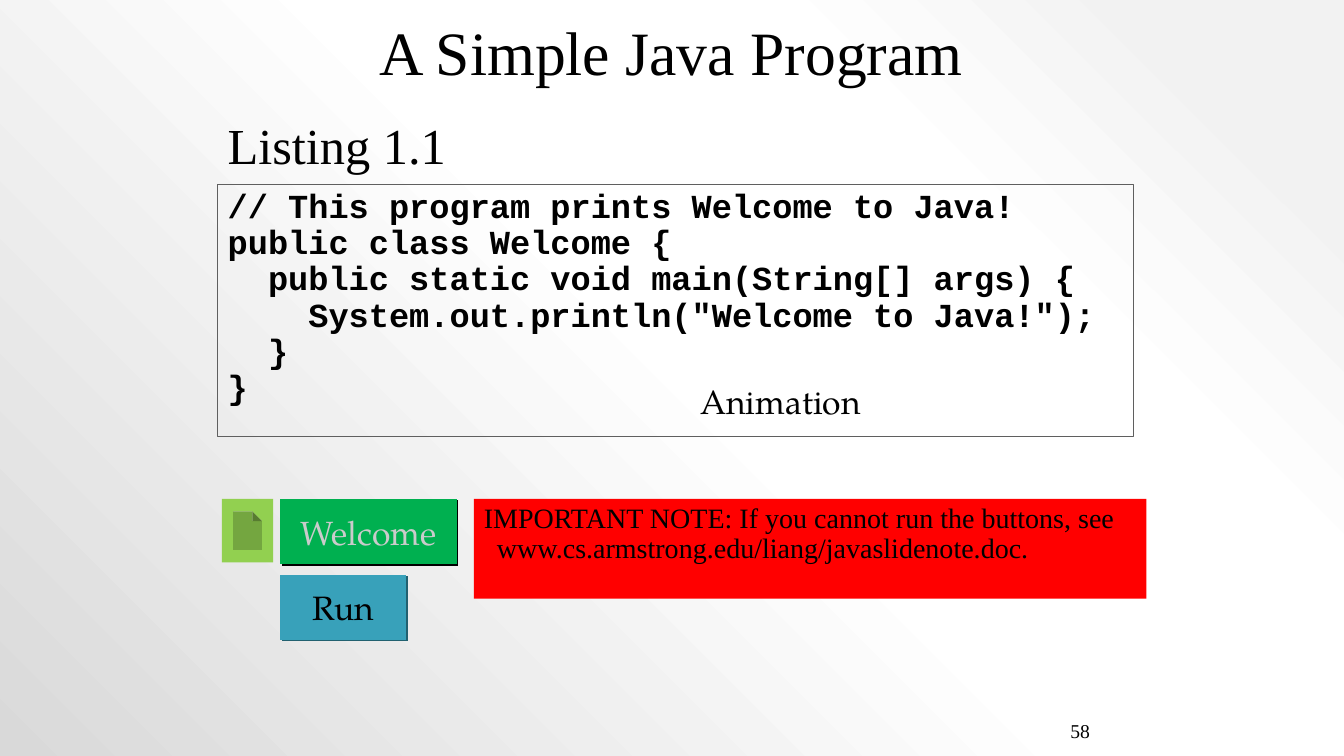
from lxml.etree import SubElement
from pptx import Presentation
from pptx.dml.color import RGBColor
from pptx.enum.shapes import MSO_SHAPE
from pptx.enum.text import MSO_ANCHOR, PP_ALIGN
from pptx.oxml import parse_xml
from pptx.oxml.ns import nsdecls, qn
from pptx.util import Pt

PX = 9144
BLACK = RGBColor(0x00, 0x00, 0x00)
GRAY = RGBColor(0x5F, 0x5F, 0x5F)
SILVER = RGBColor(0xCB, 0xCB, 0xCB)
TEAL = RGBColor(0x38, 0xA1, 0xBA)
DEEP = RGBColor(0x22, 0x61, 0x70)
GREEN = RGBColor(0x00, 0xB0, 0x50)
LIME = RGBColor(0x92, 0xD0, 0x50)
RED = RGBColor(0xFF, 0x00, 0x00)
SMOKE = RGBColor(0xF2, 0xF2, 0xF2)
WHITE = RGBColor(0xFF, 0xFF, 0xFF)
ASH = RGBColor(0xD9, 0xD9, 0xD9)

SERIF = "Times New Roman"
MONO = "Courier New"
BOOK = "TeX Gyre Pagella"

CODE = """// This program prints Welcome to Java!
public class Welcome {
  public static void main(String[] args) {
    System.out.println("Welcome to Java!");
  }
}"""
NOTE = ("IMPORTANT NOTE: If you cannot run the buttons, see "
        "www.cs.armstrong.edu/liang/javaslidenote.doc.")


def write(shape, text, size=24, font=SERIF, color=BLACK, bold=False,
          align=PP_ALIGN.LEFT, anchor=MSO_ANCHOR.MIDDLE, wrap=True,
          hang=0, lead=None):
    """Fill a shape with one formatted paragraph per line of text."""
    frame = shape.text_frame
    frame.word_wrap = wrap
    frame.vertical_anchor = anchor
    for num, line in enumerate(text.split("\n")):
        para = frame.add_paragraph() if num else frame.paragraphs[0]
        para.alignment = align
        para.line_spacing = lead
        if hang:
            props = para._p.get_or_add_pPr()
            props.set("marL", str(hang * PX))
            props.set("indent", str(-hang * PX))
        run = para.add_run()
        run.text = line
        run.font.size = Pt(size)
        run.font.name = font
        run.font.bold = bold
        run.font.color.rgb = color


class Deck:
    """Holds the page style and the current slide."""

    def __init__(self, wide, high):
        self.show = Presentation()
        self.show.slide_width = wide * PX
        self.show.slide_height = high * PX
        self.slide = self.show.slides.add_slide(self.show.slide_layouts[6])

    def back(self, stops):
        """Paint a round gradient that starts at the top right."""
        marks = "".join(
            f'<a:gs pos="{pos * 1000}"><a:srgbClr val="{color}"/></a:gs>'
            for pos, color in stops)
        page = parse_xml(
            f'<p:bg {nsdecls("p", "a")}><p:bgPr><a:gradFill rotWithShape="1">'
            f'<a:gsLst>{marks}</a:gsLst><a:path path="circle">'
            '<a:fillToRect l="100000" b="100000"/></a:path></a:gradFill>'
            '<a:effectLst/></p:bgPr></p:bg>')
        self.slide._element.cSld.insert(0, page)

    def label(self, box, text, **style):
        """Add a plain text box."""
        write(self.slide.shapes.add_textbox(*(n * PX for n in box)), text, **style)

    def block(self, box, kind=MSO_SHAPE.RECTANGLE, fill=None, line=None):
        """Add a flat preset shape."""
        shape = self.slide.shapes.add_shape(kind, *(n * PX for n in box))
        shape.shadow.inherit = False
        if fill is None:
            shape.fill.background()
        else:
            shape.fill.solid()
            shape.fill.fore_color.rgb = fill
        if line is None:
            shape.line.fill.background()
        else:
            shape.line.color.rgb = line
            shape.line.width = Pt(0.75)
        return shape

    def button(self, box, text, fill, shade, color=BLACK):
        """Add a labelled button with a hard shadow."""
        shape = self.block(box, MSO_SHAPE.ACTION_BUTTON_CUSTOM, fill)
        effects = shape._element.spPr.find(qn("a:effectLst"))
        drop = SubElement(effects, qn("a:outerShdw"), dist=str(Pt(1.4)),
                          dir="2700000", algn="ctr", rotWithShape="0")
        SubElement(drop, qn("a:srgbClr"), val=str(shade))
        write(shape, text, font=BOOK, color=color, align=PP_ALIGN.CENTER, wrap=False)


def main():
    """Build the slide and save it."""
    deck = Deck(1333, 750)
    deck.back([(10, SMOKE), (28, WHITE), (48, WHITE), (100, ASH)])
    deck.label((883, 700, 208, 50), "58", size=14, align=PP_ALIGN.RIGHT, wrap=False)
    deck.label((241, 17, 850, 67), "A Simple Java Program", size=44,
               align=PP_ALIGN.CENTER)
    code = deck.block((216, 183, 908, 250), line=GRAY)
    write(code, CODE, font=MONO, bold=True, anchor=MSO_ANCHOR.TOP, hang=38, lead=0.9)
    deck.button((278, 570, 125, 65), "Run", TEAL, DEEP)
    deck.button((278, 495, 175, 65), "Welcome", GREEN, BLACK, SILVER)
    deck.label((216, 108, 383, 70), "Listing 1.1", size=36, anchor=MSO_ANCHOR.TOP)
    note = deck.block((470, 495, 667, 99), fill=RED)
    write(note, NOTE, size=20, anchor=MSO_ANCHOR.TOP, hang=13, lead=0.9)
    deck.block((220, 495, 51, 63), MSO_SHAPE.ACTION_BUTTON_DOCUMENT, LIME)
    deck.label((684, 375, 180, 46), "Animation", font=BOOK,
               align=PP_ALIGN.CENTER, wrap=False)
    deck.show.save("out.pptx")


if __name__ == "__main__":
    main()
